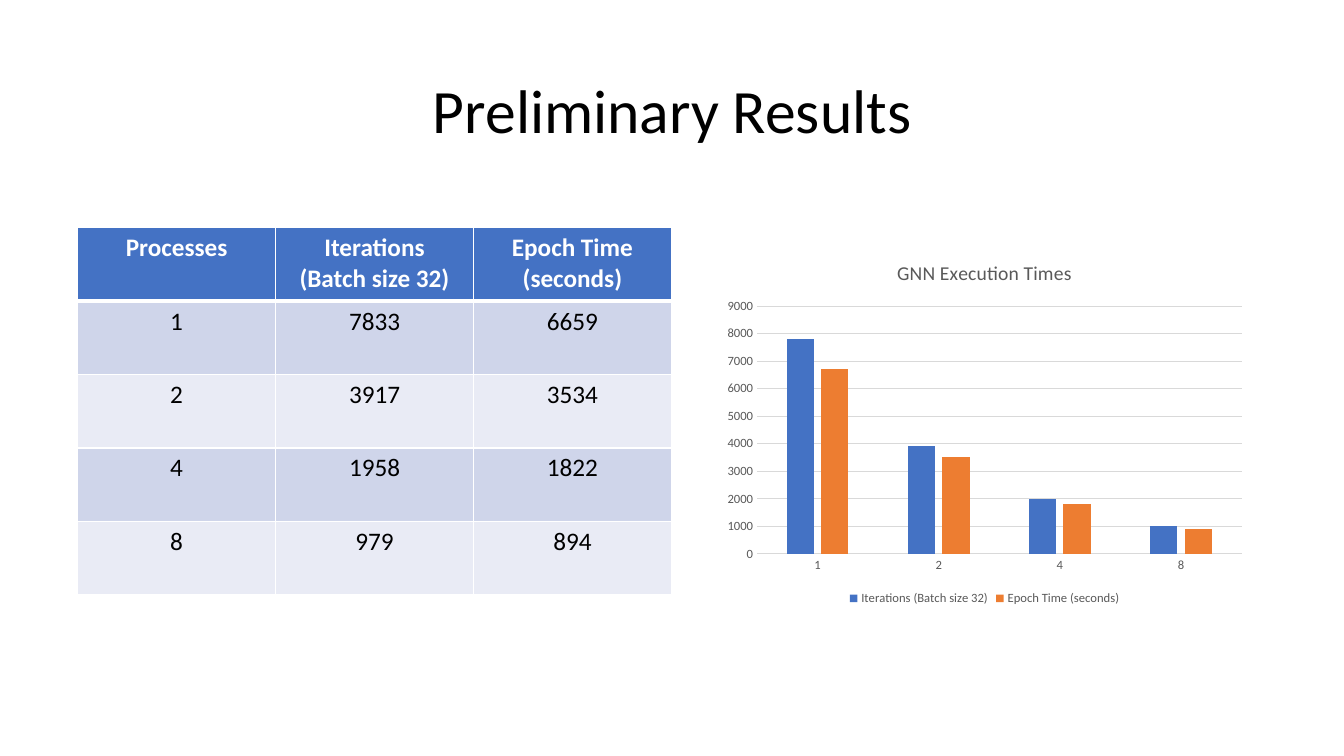
"""Build the Preliminary Results slide with a timing table and column chart."""
from pptx import Presentation
from pptx.chart.data import CategoryChartData
from pptx.dml.color import RGBColor
from pptx.enum.chart import XL_CHART_TYPE as ChartType, XL_LEGEND_POSITION as LegendPosition, XL_TICK_MARK as TickMark
from pptx.enum.text import MSO_ANCHOR as Anchor, PP_ALIGN as Align
from pptx.oxml import parse_xml
from pptx.oxml.ns import nsdecls
from pptx.util import Inches, Pt


def set_font(font, size, color, bold=False):
    font.name = "Calibri"
    font.size = Pt(size)
    font.bold = bold
    font.color.rgb = RGBColor.from_string(color)


def set_line(line, color):
    line.color.rgb = RGBColor.from_string(color)
    line.width = Pt(0.75)


HEADERS = ["Processes", "Iterations\v(Batch size 32)", "Epoch Time (seconds)"]
RESULTS = [(1, 7833, 6659), (2, 3917, 3534), (4, 1958, 1822), (8, 979, 894)]
BLUE, ORANGE, GRAY, GRID = "4472C4", "ED7D31", "595959", "D9D9D9"
BANDS = ["CFD5EA", "E9EBF5"]
BORDERS = {"lnL": 1, "lnR": 1, "lnT": 1, "lnB": 3}

presentation = Presentation()
presentation.slide_width = Inches(13.33)
presentation.slide_height = Inches(7.5)
slide = presentation.slides.add_slide(presentation.slide_layouts[5])

title = slide.shapes.title
title.left, title.top = Inches(0.92), Inches(0.4)
title.width, title.height = Inches(11.5), Inches(1.45)
title.text_frame.text = "Preliminary Results"
title.text_frame.vertical_anchor = Anchor.MIDDLE
title_paragraph = title.text_frame.paragraphs[0]
title_paragraph.alignment = Align.CENTER
title_paragraph.line_spacing = 0.9
set_font(title_paragraph.font, 44, "000000")

rows = [HEADERS, *RESULTS]
table = slide.shapes.add_table(len(rows), len(HEADERS), Inches(0.77), Inches(2.26),
                               Inches(5.89), Inches(3.64)).table
for row_index, values in enumerate(rows):
    is_header = row_index == 0
    fill_color = BLUE if is_header else BANDS[(row_index - 1) % 2]
    for column_index, value in enumerate(values):
        cell = table.cell(row_index, column_index)
        cell.fill.solid()
        cell.fill.fore_color.rgb = RGBColor.from_string(fill_color)
        cell.text = str(value)
        paragraph = cell.text_frame.paragraphs[0]
        paragraph.alignment = Align.CENTER
        set_font(paragraph.font, 18, "FFFFFF" if is_header else "000000", is_header)
        if is_header:
            for position, (side, width) in enumerate(BORDERS.items()):
                border = parse_xml(
                    f'<a:{side} {nsdecls("a")} w="{Pt(width)}"><a:solidFill>'
                    f'<a:srgbClr val="FFFFFF"/></a:solidFill></a:{side}>')
                cell._tc.get_or_add_tcPr().insert(position, border)

processes, iterations, epoch_times = zip(*RESULTS)
chart_data = CategoryChartData()
chart_data.categories = [str(count) for count in processes]
chart_data.add_series("Iterations (Batch size 32)", [round(value, -2) for value in iterations])
chart_data.add_series("Epoch Time (seconds)", [round(value, -2) for value in epoch_times])
chart = slide.shapes.add_chart(ChartType.COLUMN_CLUSTERED, Inches(7.11), Inches(2.41),
                               Inches(5.31), Inches(3.64), chart_data).chart
set_font(chart.font, 10, "000000")

chart.has_title = True
chart.chart_title.include_in_layout = False
chart.chart_title.text_frame.text = "GNN Execution Times"
set_font(chart.chart_title.text_frame.paragraphs[0].font, 14, GRAY)

chart.has_legend = True
chart.legend.position = LegendPosition.BOTTOM
chart.legend.include_in_layout = False
set_font(chart.legend.font, 9, GRAY)

plot = chart.plots[0]
plot.gap_width = 219
plot.overlap = -27
plot.vary_by_categories = False
for series, color in zip(plot.series, [BLUE, ORANGE]):
    series.format.fill.solid()
    series.format.fill.fore_color.rgb = RGBColor.from_string(color)

for axis in (chart.category_axis, chart.value_axis):
    axis.major_tick_mark = axis.minor_tick_mark = TickMark.NONE
    set_font(axis.tick_labels.font, 9, GRAY)
set_line(chart.category_axis.format.line, GRID)
chart.value_axis.format.line.fill.background()
chart.value_axis.minimum_scale = 0
chart.value_axis.maximum_scale = 9000
chart.value_axis.major_unit = 1000
set_line(chart.value_axis.major_gridlines.format.line, GRID)

presentation.save("out.pptx")
